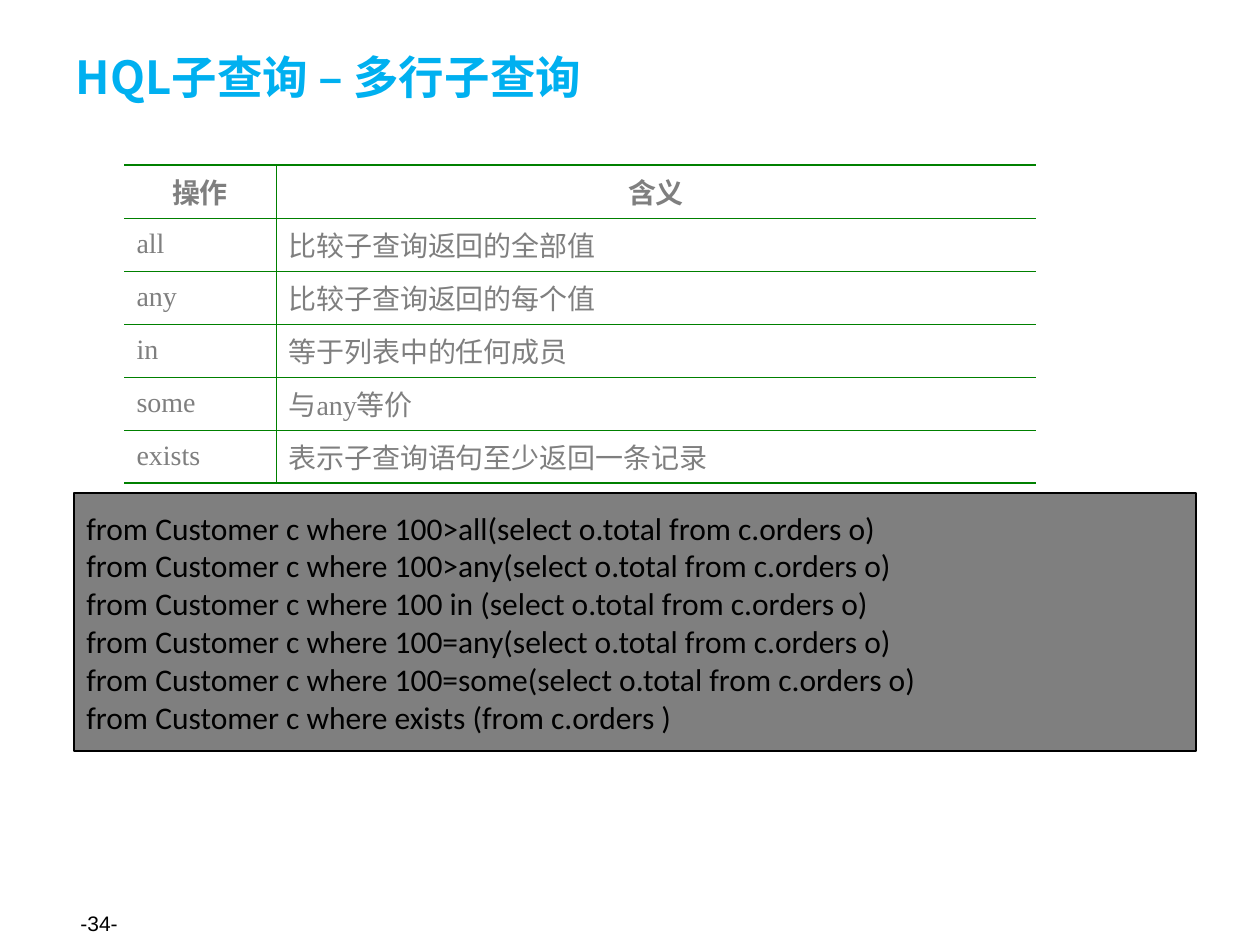
from lxml.etree import SubElement
from pptx import Presentation
from pptx.dml.color import RGBColor
from pptx.enum.shapes import MSO_SHAPE
from pptx.enum.text import MSO_ANCHOR, MSO_AUTO_SIZE, PP_ALIGN
from pptx.oxml.ns import qn
from pptx.util import Emu, Inches, Pt

COLORS = {"title": "00B0F0", "gray": "7F7F7F", "rule": "008000", "black": "000000"}
PX = Inches(1) / 126
TITLE_ONLY = 5
OPERATIONS = [
    ("操作", "含义"),
    ("all", "比较子查询返回的全部值"),
    ("any", "比较子查询返回的每个值"),
    ("in", "等于列表中的任何成员"),
    ("some", "与any等价"),
    ("exists", "表示子查询语句至少返回一条记录"),
]
QUERIES = [
    "from Customer c where 100>all(select o.total from c.orders o)",
    "from Customer c where 100>any(select o.total from c.orders o)",
    "from Customer c where 100 in (select o.total from c.orders o)",
    "from Customer c where 100=any(select o.total from c.orders o)",
    "from Customer c where 100=some(select o.total from c.orders o)",
    "from Customer c where exists (from c.orders )",
]


def px(*lengths):
    return [Emu(round(length * PX)) for length in lengths]


def rgb(name):
    return RGBColor.from_string(COLORS[name])


class SlideBuilder:
    """Draws styled elements on the current slide."""

    def __init__(self, presentation):
        self.slide = presentation.slides.add_slide(presentation.slide_layouts[TITLE_ONLY])

    def add_lines(self, frame, lines, font, size, color, bold=False):
        frame.word_wrap = True
        frame.auto_size = MSO_AUTO_SIZE.NONE
        frame.vertical_anchor = MSO_ANCHOR.MIDDLE
        for index, line in enumerate(lines):
            paragraph = frame.add_paragraph() if index else frame.paragraphs[0]
            paragraph.alignment = PP_ALIGN.LEFT
            self.add_run(paragraph, line, font, size, color, bold)

    def add_run(self, paragraph, text, font, size, color, bold):
        run = paragraph.add_run()
        run.text = text
        run.font.name = font
        run.font.size = Pt(size)
        run.font.bold = bold
        run.font.color.rgb = rgb(color)
        SubElement(run._r.get_or_add_rPr(), qn("a:ea"), typeface="Noto Sans CJK SC")

    def title(self, text, box):
        shape = self.slide.shapes.title
        shape.left, shape.top, shape.width, shape.height = px(*box)
        self.add_lines(shape.text_frame, [text], "Noto Sans CJK SC", 26, "title", bold=True)

    def label(self, text, box):
        shape = self.slide.shapes.add_textbox(*px(*box))
        self.add_lines(shape.text_frame, [text], "Arial", 12, "black")

    def code(self, lines, box):
        shape = self.slide.shapes.add_shape(MSO_SHAPE.RECTANGLE, *px(*box))
        shape.shadow.inherit = False
        shape.fill.solid()
        shape.fill.fore_color.rgb = rgb("gray")
        shape.line.color.rgb = rgb("black")
        shape.line.width = Pt(1)
        self.add_lines(shape.text_frame, lines, "Calibri", 18, "black")

    def table(self, rows, left, top, widths, row_height):
        box = px(left, top, sum(widths), row_height * len(rows))
        table = self.slide.shapes.add_table(len(rows), len(widths), *box).table
        table.first_row = table.horz_banding = False
        for column, width in zip(table.columns, px(*widths)):
            column.width = width
        last_row, last_column = len(rows) - 1, len(widths) - 1
        for row, texts in enumerate(rows):
            table.rows[row].height = px(row_height)[0]
            for column, text in enumerate(texts):
                cell = table.cell(row, column)
                self.fill_cell(cell, text, header=row == 0)
                self.border(cell, {
                    "L": 0.45 if column else 0,
                    "R": 0.45 if column < last_column else 0,
                    "T": 0.45 if row else 1.08,
                    "B": 0.45 if row < last_row else 1.08,
                })

    def fill_cell(self, cell, text, header):
        cell.fill.background()
        cell.vertical_anchor = MSO_ANCHOR.MIDDLE
        paragraph = cell.text_frame.paragraphs[0]
        paragraph.alignment = PP_ALIGN.CENTER if header else PP_ALIGN.LEFT
        properties = paragraph._p.get_or_add_pPr()
        properties.set("marL", str(Inches(0.38)))
        properties.set("indent", str(-Inches(0.38)))
        self.add_run(paragraph, text, "Times New Roman", 16, "gray", header)

    def border(self, cell, widths):
        properties = cell._tc.get_or_add_tcPr()
        for position, (side, width) in enumerate(widths.items()):
            line = SubElement(properties, qn(f"a:ln{side}"), w=str(Pt(width)))
            properties.insert(position, line)
            if width:
                fill = SubElement(line, qn("a:solidFill"))
                SubElement(fill, qn("a:srgbClr"), val=COLORS["rule"])
            else:
                SubElement(line, qn("a:noFill"))


def main():
    presentation = Presentation()
    presentation.slide_width, presentation.slide_height = px(1260, 945)
    builder = SlideBuilder(presentation)
    builder.label("-34-", (68, 898, 294, 50))
    builder.title("HQL子查询 – 多行子查询", (63, 38, 1134, 77))
    builder.code(QUERIES, (74, 493, 1122, 258))
    builder.table(OPERATIONS, 124, 165, (152, 760), 48)
    presentation.save("out.pptx")


if __name__ == "__main__":
    main()
